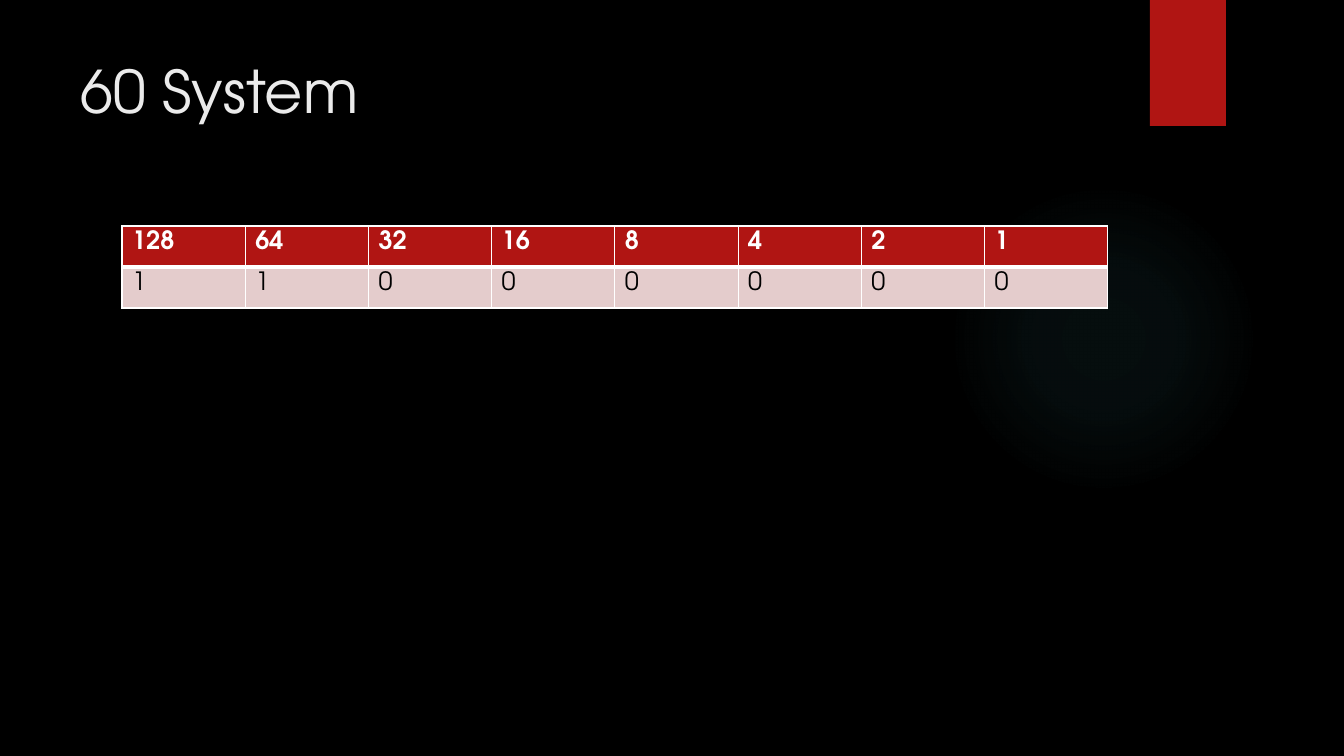
from lxml.etree import SubElement
from pptx import Presentation
from pptx.dml.color import RGBColor
from pptx.enum.shapes import MSO_SHAPE
from pptx.enum.text import MSO_ANCHOR
from pptx.oxml import parse_xml
from pptx.oxml.ns import nsdecls, qn
from pptx.util import Emu, Pt

SCALE = 914400 / 100.8
RED, PINK, WHITE, BLACK = "B01513", "E4CCCC", "FFFFFF", "000000"
TITLE_COLOR, GLOW = "EBEBEB", "50B9C1"


def px(length):
    return Emu(round(length * SCALE))


def color(value):
    return RGBColor.from_string(value)


class SlideBuilder:
    font = "TeX Gyre Adventor"

    def __init__(self, slide, background):
        self.slide = slide
        fill = slide.background.fill
        fill.solid()
        fill.fore_color.rgb = color(background)

    def shape(self, preset, box, fill):
        shape = self.slide.shapes.add_shape(preset, *map(px, box))
        shape.shadow.inherit = False
        shape.line.fill.background()
        shape.fill.solid()
        shape.fill.fore_color.rgb = color(fill)
        return shape

    def glow(self, box, tint, stops):
        properties = self.shape(MSO_SHAPE.OVAL, box, tint).element.spPr
        gradient = parse_xml(
            f'<a:gradFill {nsdecls("a")} rotWithShape="1"><a:gsLst/>'
            '<a:path path="circle"><a:fillToRect l="50000" t="50000" '
            'r="50000" b="50000"/></a:path></a:gradFill>')
        for position, alpha in stops:
            stop = SubElement(gradient[0], qn("a:gs"), pos=str(position * 1000))
            tone = SubElement(stop, qn("a:srgbClr"), val=tint)
            SubElement(tone, qn("a:alpha"), val=str(alpha * 1000))
        properties.replace(properties.find(qn("a:solidFill")), gradient)

    def bookmark(self, box, fill):
        properties = self.shape(MSO_SHAPE.RECTANGLE, box, fill).element.spPr
        shadow = SubElement(
            properties.find(qn("a:effectLst")), qn("a:outerShdw"),
            blurRad=str(Pt(3)), dist=str(Pt(2)), dir="5400000", rotWithShape="0")
        tone = SubElement(shadow, qn("a:srgbClr"), val=BLACK)
        SubElement(tone, qn("a:alpha"), val="45000")

    def add_text(self, frame, content, size, tint, bold=False):
        run = frame.paragraphs[0].add_run()
        run.text = content
        run.font.name = self.font
        run.font.size = Pt(size)
        run.font.bold = bold
        run.font.color.rgb = color(tint)

    def title(self, box, content):
        frame = self.slide.shapes.add_textbox(*map(px, box)).text_frame
        frame.word_wrap = True
        frame.vertical_anchor = MSO_ANCHOR.TOP
        self.add_text(frame, content, 42, TITLE_COLOR)

    def borders(self, cell, widths):
        properties = cell._tc.get_or_add_tcPr()
        for index, (side, width) in enumerate(widths.items()):
            properties.insert(index, parse_xml(
                f'<a:ln{side} {nsdecls("a")} w="{Pt(width)}"><a:solidFill>'
                f'<a:srgbClr val="{WHITE}"/></a:solidFill></a:ln{side}>'))

    def table(self, box, rows, styles):
        table = self.slide.shapes.add_table(
            len(rows), len(rows[0]), *map(px, box)).table
        table.first_row = table.horz_banding = False
        for r, (values, (fill, tint, bold, top, bottom)) in enumerate(zip(rows, styles)):
            for c, value in enumerate(values):
                cell = table.cell(r, c)
                cell.fill.solid()
                cell.fill.fore_color.rgb = color(fill)
                self.borders(cell, {"L": 1, "R": 1, "T": top, "B": bottom})
                self.add_text(cell.text_frame, str(value), 18, tint, bold)


presentation = Presentation()
presentation.slide_width, presentation.slide_height = px(1344), px(756)
builder = SlideBuilder(
    presentation.slides.add_slide(presentation.slide_layouts[6]), BLACK)

builder.glow((949, 184, 310, 310), GLOW, [(0, 7), (36, 6), (69, 0)])
builder.bookmark((1150, 0, 76, 126), RED)
builder.title((71, 50, 1037, 154), "60 System")

place_values = [2 ** power for power in reversed(range(8))]
bits = f"{0b11000000:08b}"
header_style = (RED, WHITE, True, 1, 3)
bit_style = (PINK, BLACK, False, 3, 1)
builder.table((122, 226, 986, 82), [place_values, bits], [header_style, bit_style])

presentation.save("out.pptx")
